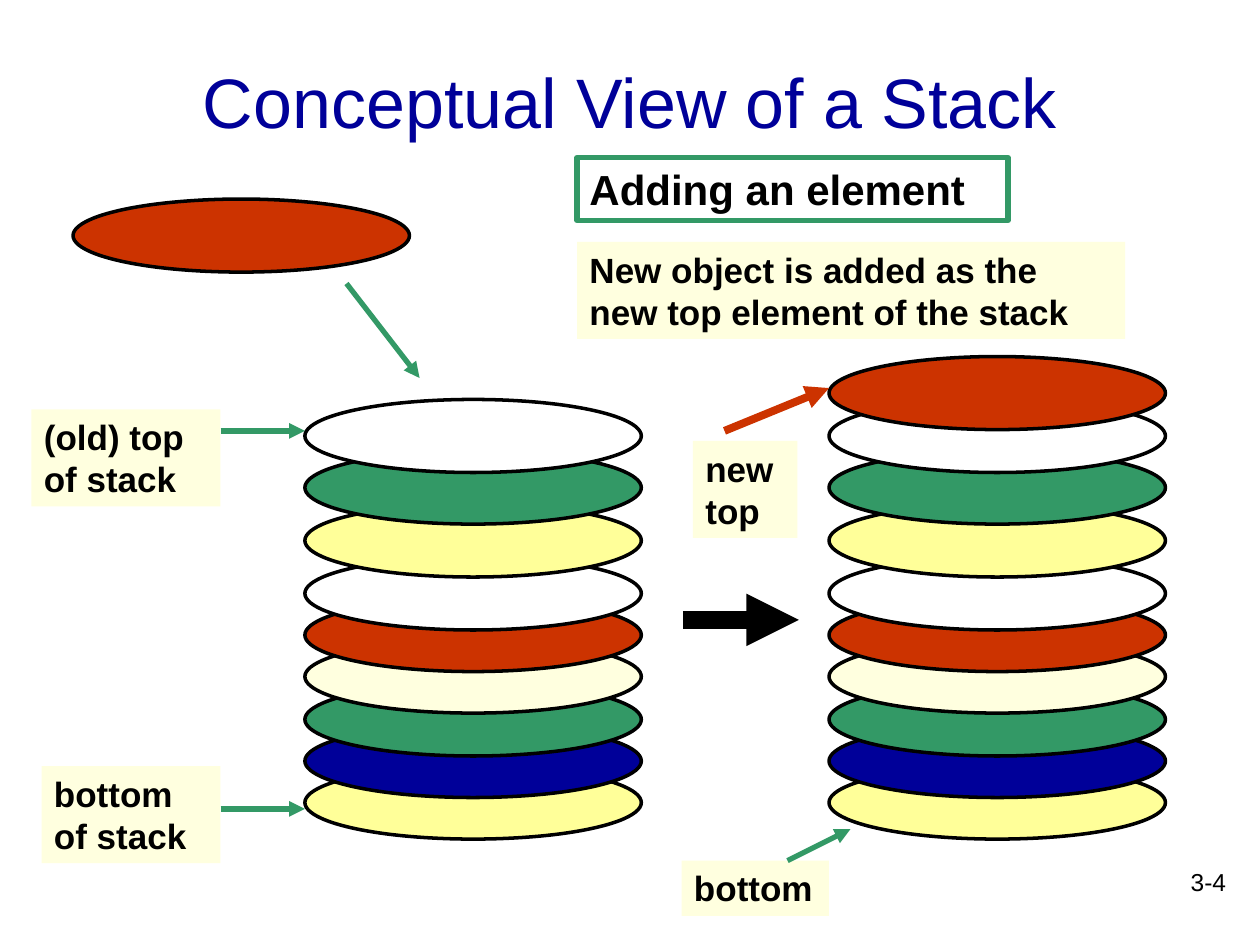
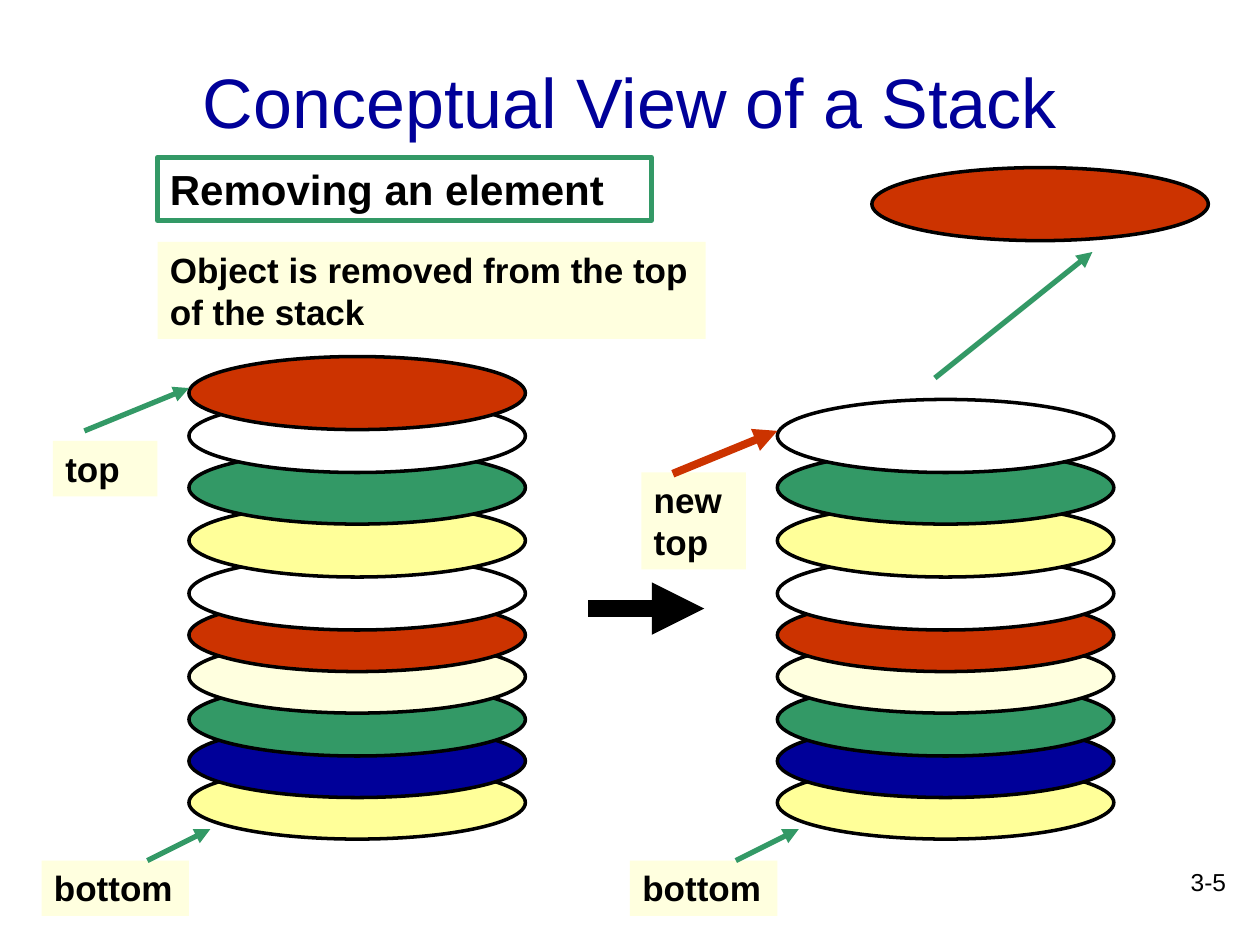
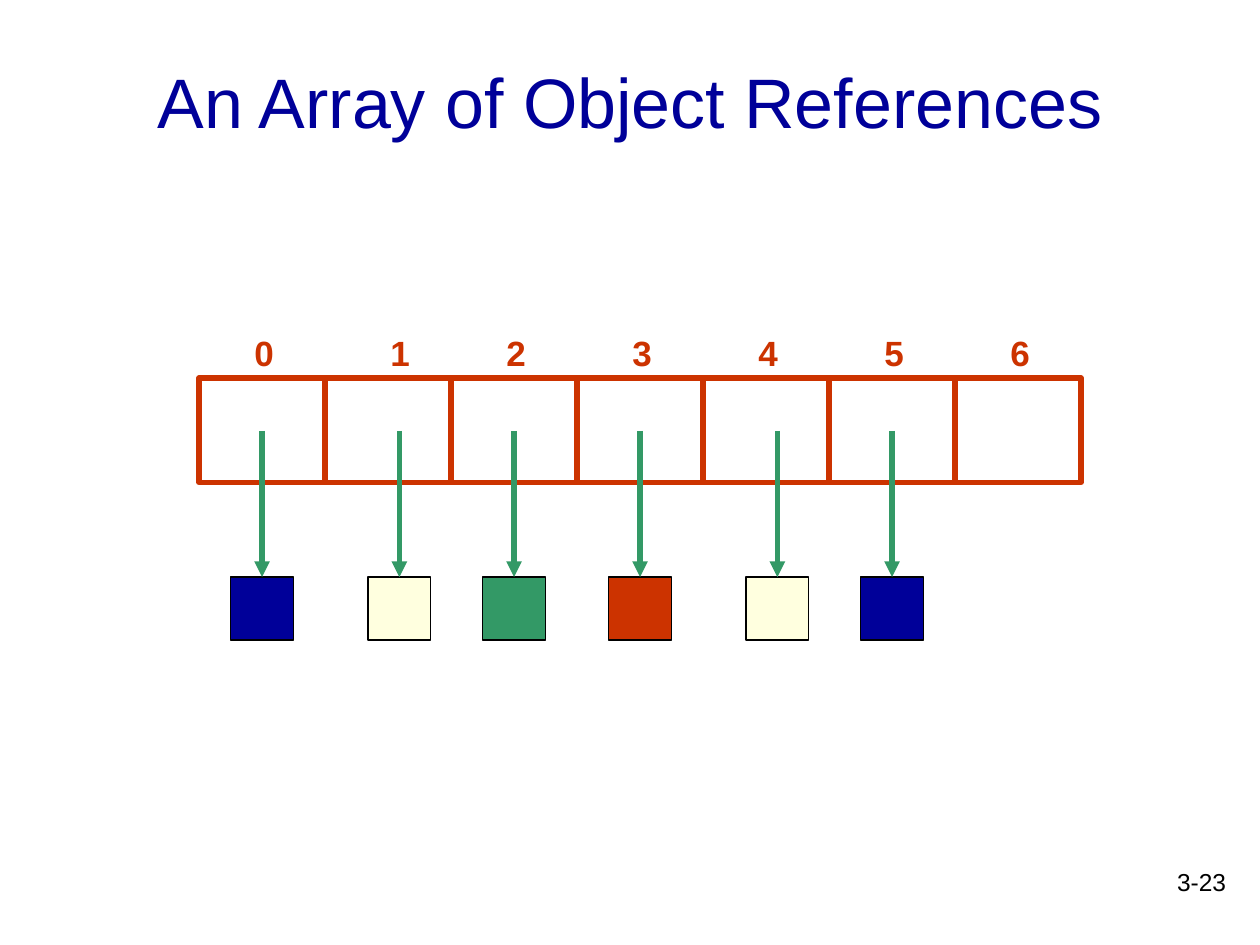
from itertools import accumulate

from lxml import etree
from pptx import Presentation
from pptx.dml.color import RGBColor
from pptx.enum.shapes import MSO_CONNECTOR, MSO_SHAPE
from pptx.enum.text import MSO_ANCHOR, PP_ALIGN
from pptx.oxml.ns import qn
from pptx.util import Inches, Pt

STRAIGHT = MSO_CONNECTOR.STRAIGHT
ELLIPSE, RECTANGLE = MSO_SHAPE.OVAL, MSO_SHAPE.RECTANGLE
TOP, MIDDLE = MSO_ANCHOR.TOP, MSO_ANCHOR.MIDDLE
LEFT, CENTER, RIGHT = PP_ALIGN.LEFT, PP_ALIGN.CENTER, PP_ALIGN.RIGHT

FONT = "Arial"
BLACK, WHITE = "000000", "FFFFFF"
NAVY, GREEN, RED = "000099", "339966", "CC3300"
YELLOW, CREAM = "FFFF99", "FFFFDF"

PLATE_WIDTH, PLATE_HEIGHT = 2.67, 0.58
BASE_TOP = 6.08
PLATES = [YELLOW, NAVY, GREEN, CREAM, RED, WHITE, YELLOW, GREEN, WHITE]
PLATE_RISES = [0, 0.33, 0.33, 0.34, 0.33, 0.33, 0.42, 0.42, 0.41, 0.34]
ONE_LINE, TWO_LINES = 0.44, 0.77

CELL_COUNT, CELL_WIDTH, CELL_HEIGHT = 7, 1, 0.83
OBJECT_SIZE = 0.5
OBJECTS = [NAVY, CREAM, GREEN, RED, CREAM, NAVY]
OBJECT_SHIFTS = {1: 0.09, 4: 0.09}
INDEX_SHIFTS = {1: 0.08}


def rgb(hex_color):
    """Turn a hex string into a colour."""
    return RGBColor.from_string(hex_color)


def write(shape, text, size, color=BLACK, bold=False, align=LEFT, anchor=TOP):
    """Set the text of a shape and format it."""
    frame = shape.text_frame
    frame.word_wrap = True
    frame.vertical_anchor = anchor
    frame.text = text
    paragraph = frame.paragraphs[0]
    paragraph.alignment = align
    font = paragraph.runs[0].font
    font.name, font.size, font.bold = FONT, Pt(size), bold
    font.color.rgb = rgb(color)


def add_text(slide, box, text, size, **style):
    """Add a plain text box."""
    write(slide.shapes.add_textbox(*map(Inches, box)), text, size, **style)


def add_figure(slide, kind, box, fill=None, line=None, width=1.0):
    """Add a preset shape with the given fill and outline."""
    figure = slide.shapes.add_shape(kind, *map(Inches, box))
    figure.shadow.inherit = False
    if fill:
        figure.fill.solid()
        figure.fill.fore_color.rgb = rgb(fill)
    else:
        figure.fill.background()
    if line:
        figure.line.color.rgb = rgb(line)
        figure.line.width = Pt(width)
    else:
        figure.line.fill.background()
    return figure


def add_arrow(slide, start, end, color=GREEN, width=3.0):
    """Add a straight arrow between two points."""
    arrow = slide.shapes.add_connector(STRAIGHT, *map(Inches, (*start, *end)))
    arrow.line.color.rgb = rgb(color)
    arrow.line.width = Pt(width)
    etree.SubElement(arrow.line._get_or_add_ln(), qn("a:tailEnd"), type="triangle")
    etree.SubElement(arrow._element.spPr, qn("a:effectLst"))
    return arrow


def add_label(slide, box, text):
    """Add a bold caption on a cream ground."""
    write(add_figure(slide, RECTANGLE, box, CREAM), text, 20, bold=True)


def add_slide(deck, title, number):
    """Add a slide with its title and page number."""
    slide = deck.slides.add_slide(deck.slide_layouts[6])
    add_text(slide, (7.75, 6.83, 2.08, 0.5), number, 14, align=RIGHT)
    add_text(slide, (0.75, 0.17, 8.5, 1.25), title, 40, color=NAVY,
             align=CENTER, anchor=MIDDLE)
    return slide


def add_plate(slide, left, top, color):
    """Add one element of a stack."""
    add_figure(slide, ELLIPSE, (left, top, PLATE_WIDTH, PLATE_HEIGHT), color, BLACK, 2)


def add_stack(slide, left, colors):
    """Pile up plates from the base and return the top of the last one."""
    for color, rise in zip(colors, accumulate(PLATE_RISES)):
        top = BASE_TOP - rise
        add_plate(slide, left, top, color)
    return top


def add_bottom_label(slide, stack_left):
    """Point at the lower left of a stack."""
    add_label(slide, (stack_left - 1.17, 6.83, 1.17, ONE_LINE), "bottom")
    add_arrow(slide, (stack_left - 0.33, 6.83), (stack_left + 0.17, 6.58))


def add_top_label(slide, stack_left, stack_top, text, height, drop=0.67, **arrow_style):
    """Point at the topmost plate of a stack."""
    add_label(slide, (stack_left - 1.08, stack_top + drop, 0.83, height), text)
    add_arrow(slide, (stack_left - 0.83, stack_top + 0.59),
              (stack_left, stack_top + 0.25), **arrow_style)


def add_operation(slide, left, heading, heading_width, explanation):
    """Add the framed operation name above its explanation."""
    frame = add_figure(slide, RECTANGLE, (left, 1.25, heading_width, 0.5), None, GREEN, 3)
    write(frame, heading, 24, bold=True)
    add_label(slide, (left, 1.92, 4.35, TWO_LINES), explanation)


def add_step_arrow(slide, left, middle):
    """Add the heavy arrow from one state to the next."""
    add_arrow(slide, (left, middle), (left + 0.92, middle), BLACK, 10)


def add_side_label(slide, left, top, text, arrow_y, stack_left):
    """Add a caption whose right edge points level at a stack."""
    label_right = 1.75
    add_label(slide, (left, top, label_right - left, TWO_LINES), text)
    add_arrow(slide, (label_right, arrow_y), (stack_left, arrow_y))


def build_adding(deck):
    """Show an element being put on a stack."""
    slide = add_slide(deck, "Conceptual View of a Stack", "3-4")
    before, after = 2.42, 6.58
    add_operation(slide, 4.58, "Adding an element", 3.42,
                  "New object is added as the new top element of the stack")
    add_stack(slide, before, PLATES)
    add_plate(slide, 0.58, 1.58, RED)
    add_arrow(slide, (2.75, 2.25), (3.33, 3))
    add_side_label(slide, 0.25, 3.25, "(old) top of stack", 3.42, before)
    add_side_label(slide, 0.33, 6.08, "bottom of stack", 6.42, before)
    add_step_arrow(slide, 5.42, 4.92)
    new_top = add_stack(slide, after, PLATES + [RED])
    add_top_label(slide, after, new_top, "new top", TWO_LINES, color=RED, width=4.5)
    add_bottom_label(slide, after)


def build_removing(deck):
    """Show an element being taken off a stack."""
    slide = add_slide(deck, "Conceptual View of a Stack", "3-5")
    before, after = 1.5, 6.17
    add_operation(slide, 1.25, "Removing an element", 3.92,
                  "Object is removed from the top of the stack")
    old_top = add_stack(slide, before, PLATES + [RED])
    add_top_label(slide, before, old_top, "top", ONE_LINE)
    add_bottom_label(slide, before)
    add_step_arrow(slide, 4.67, 4.83)
    new_top = add_stack(slide, after, PLATES)
    add_top_label(slide, after, new_top, "new top", TWO_LINES, 0.58, color=RED, width=4.5)
    add_bottom_label(slide, after)
    add_plate(slide, 6.92, 1.33, RED)
    add_arrow(slide, (7.42, 3), (8.67, 2))


def add_array(slide, left, top):
    """Add the indexed cells and the objects they refer to."""
    for index in range(CELL_COUNT):
        cell_left = left + index * CELL_WIDTH
        add_figure(slide, RECTANGLE, (cell_left, top, CELL_WIDTH, CELL_HEIGHT), None, RED, 3)
        index_left = cell_left + 0.34 + INDEX_SHIFTS.get(index, 0)
        add_text(slide, (index_left, top - 0.42, 0.42, ONE_LINE), str(index), 20,
                 color=RED, bold=True)
    for index, color in enumerate(OBJECTS):
        object_left = left + index * CELL_WIDTH + 0.25 + OBJECT_SHIFTS.get(index, 0)
        object_top = top + 1.58
        target = add_figure(slide, RECTANGLE,
                            (object_left, object_top, OBJECT_SIZE, OBJECT_SIZE),
                            color, BLACK, 0.75)
        center = object_left + OBJECT_SIZE / 2
        reference = add_arrow(slide, (center, top + 0.42), (center, object_top))
        reference.end_connect(target, 0)


def build_array(deck):
    """Show an array whose cells refer to objects."""
    slide = add_slide(deck, "An Array of Object References", "3-23")
    add_array(slide, 1.58, 3)


def main():
    """Build and save the deck."""
    deck = Presentation()
    deck.slide_width, deck.slide_height = Inches(10), Inches(7.5)
    build_adding(deck)
    build_removing(deck)
    build_array(deck)
    deck.save("out.pptx")


if __name__ == "__main__":
    main()
